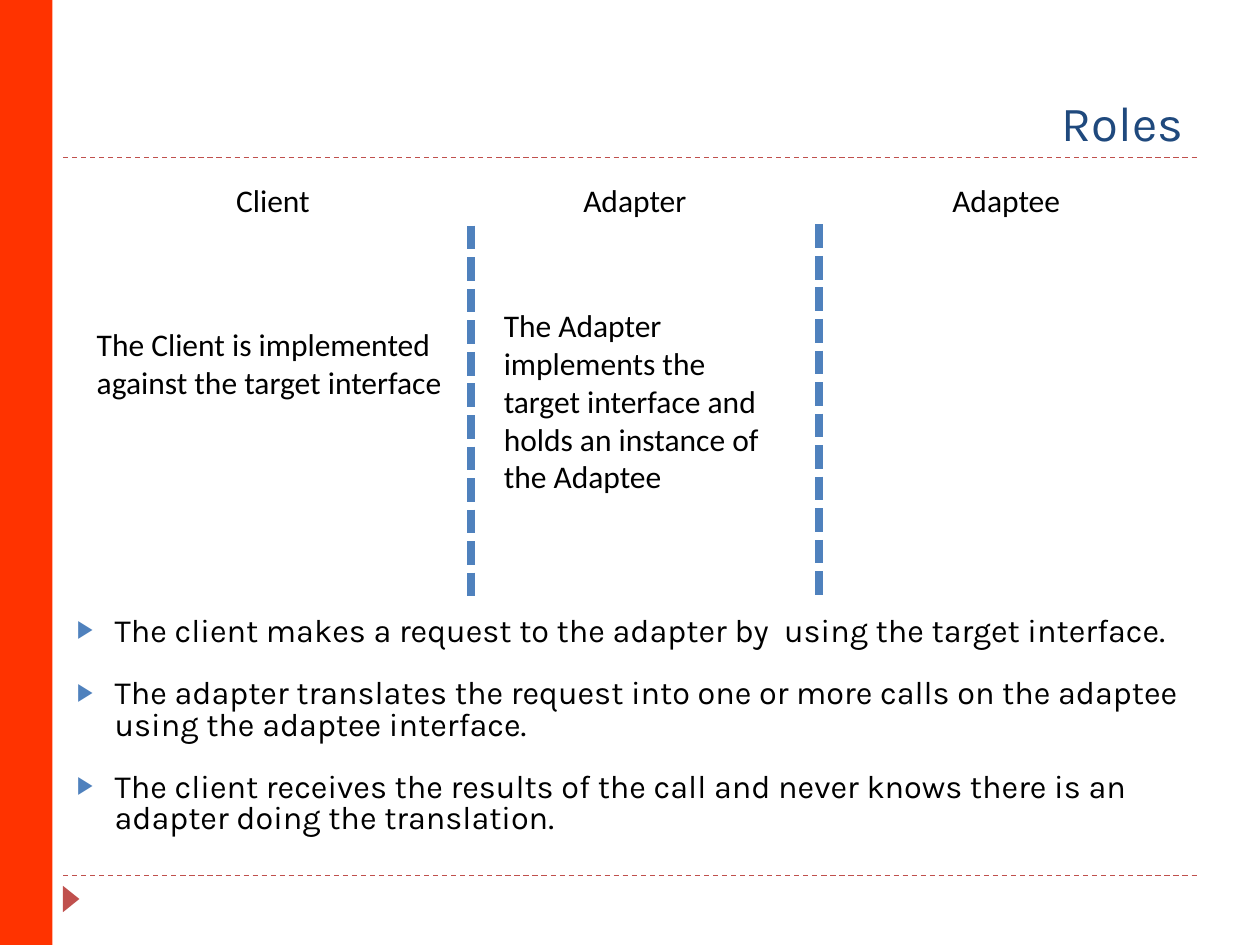
import pptx
import pptx.util
import pptx.dml.color
import pptx.enum.dml
import pptx.enum.shapes
import pptx.enum.text
import pptx.oxml
import pptx.oxml.ns

Pt = pptx.util.Pt
Align = pptx.enum.text.PP_ALIGN
Anchor = pptx.enum.text.MSO_ANCHOR
Fit = pptx.enum.text.MSO_AUTO_SIZE
Shape = pptx.enum.shapes.MSO_SHAPE
Dash = pptx.enum.dml.MSO_LINE

COLORS = {"bar": "FF3300", "red": "C0504D", "blue": "4F81BD",
          "title": "1F497D", "text": "000000"}

STEPS = [
    "The client makes a request to the adapter by  using the target interface.",
    "The adapter translates the request into one or more calls on the adaptee "
    "using the adaptee interface.",
    "The client receives the results of the call and never knows there is an "
    "adapter doing the translation.",
]


def color(name):
    return pptx.dml.color.RGBColor.from_string(COLORS[name])


def place(item, box):
    item.left, item.top, item.width, item.height = map(Pt, box)


def add_xml(parent, tag, **attrs):
    node = pptx.oxml.parse_xml(
        f"<a:{tag} {pptx.oxml.ns.nsdecls('a')}/>")
    for key, value in attrs.items():
        node.set(key, value)
    parent.append(node)
    return node


class Page:
    head = "Karla"
    plain = "Calibri"

    def __init__(self, slide):
        self.slide = slide
        self.shapes = slide.shapes

    def style(self, frame, font, size, tint="text", align=Align.LEFT):
        frame.word_wrap = True
        for para in frame.paragraphs:
            para.alignment = align
            for run in para.runs:
                run.font.name = font
                run.font.size = Pt(size)
                run.font.color.rgb = color(tint)

    def title(self, text, box):
        item = self.shapes.title
        place(item, box)
        frame = item.text_frame
        frame.text = text
        frame.auto_size = Fit.NONE
        frame.vertical_anchor = Anchor.BOTTOM
        self.style(frame, self.head, 28, "title", Align.RIGHT)

    def bullets(self, lines, box):
        item = self.slide.placeholders[1]
        place(item, box)
        frame = item.text_frame
        frame.text = "\n".join(lines)
        frame.auto_size = Fit.NONE
        self.style(frame, self.head, 18.5)
        for para in frame.paragraphs:
            para.line_spacing = 0.8
            para.space_before = Pt(12)
            para.space_after = Pt(6)
            props = para._p.get_or_add_pPr()
            props.set("marL", str(Pt(21.6)))
            props.set("indent", str(-Pt(21.6)))
            tint = add_xml(props, "buClr")
            add_xml(tint, "srgbClr", val=COLORS["blue"])
            add_xml(props, "buSzPct", val="76000")
            add_xml(props, "buChar", char="▶")

    def label(self, text, box, align=Align.LEFT):
        item = self.shapes.add_textbox(*map(Pt, box))
        frame = item.text_frame
        frame.text = text
        frame.auto_size = Fit.SHAPE_TO_FIT_TEXT
        self.style(frame, self.plain, 18, align=align)

    def line(self, ends, tint, width, dash):
        item = self.shapes.add_connector(
            pptx.enum.shapes.MSO_CONNECTOR.STRAIGHT, *map(Pt, ends))
        item.line.color.rgb = color(tint)
        item.line.width = Pt(width)
        item.line.dash_style = dash
        add_xml(item._element.spPr, "effectLst")

    def block(self, kind, box, tint, turn=0):
        item = self.shapes.add_shape(kind, *map(Pt, box))
        item.shadow.inherit = False
        item.fill.solid()
        item.fill.fore_color.rgb = color(tint)
        item.line.fill.background()
        item.rotation = turn


def main():
    deck = pptx.Presentation()
    deck.slide_width, deck.slide_height = Pt(720), Pt(540)
    page = Page(deck.slides.add_slide(deck.slide_layouts[1]))

    for y in (500.4, 90):
        page.line((36, y, 684, y), "red", 0.75, Dash.DASH)
    page.block(Shape.ISOSCELES_TRIANGLE, (33.1, 509, 15.1, 9.4), "red", 90)
    page.block(Shape.RECTANGLE, (0, 0, 30, 540), "bar")

    page.title("Roles", (36.7, 12.2, 646.6, 77.8))
    page.bullets(STEPS, (36.7, 349.2, 648, 153.4))

    roles = [("Client", 105, 102), ("Adapter", 326, 73.5),
             ("Adaptee", 524, 102)]
    for name, x, width in roles:
        page.label(name, (x, 100, width, 29), Align.CENTER)
    for x, y in ((269.3, 129), (468, 128.2)):
        page.line((x, y, x, y + 214.5), "blue", 4.5, Dash.SQUARE_DOT)

    page.label("The Client is implemented\nagainst the target interface",
               (48.2, 182.2, 225.4, 51))
    page.label("The Adapter implements the\n"
               "target interface and holds an instance of the Adaptee",
               (280.8, 171.4, 175.7, 116.6))
    deck.save("out.pptx")


if __name__ == "__main__":
    main()
